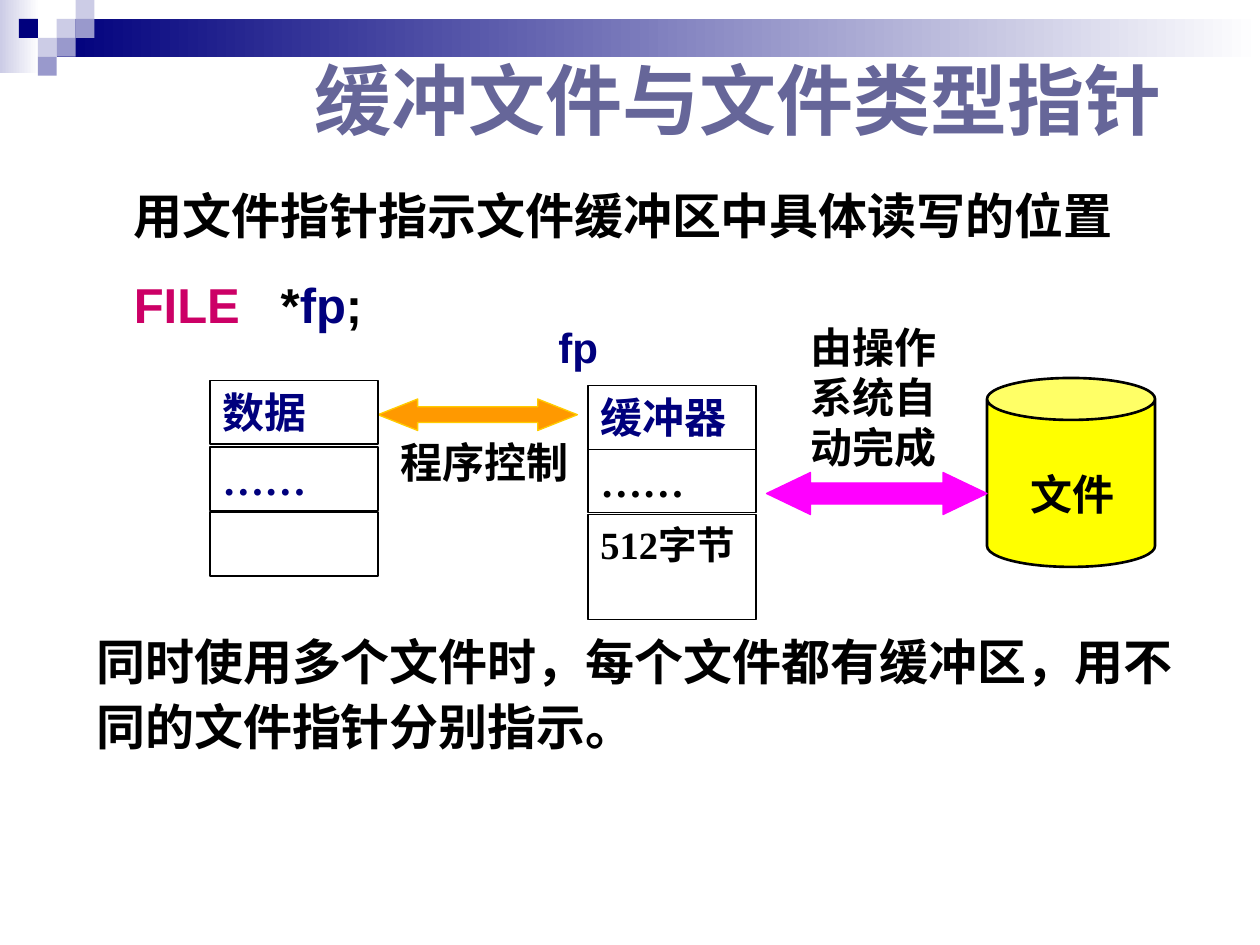
from lxml.etree import SubElement
from pptx import Presentation
from pptx.dml.color import RGBColor
from pptx.enum.shapes import MSO_SHAPE
from pptx.enum.text import MSO_ANCHOR
from pptx.oxml.ns import qn
from pptx.util import Pt

COLORS = {
    "white": "FFFFFF", "black": "000000", "navy": "00007D",
    "lavender": "CCCCE6", "periwinkle": "9999CC", "slate": "666699",
    "crimson": "CC0066", "yellow": "FFFF00", "magenta": "FF00FF",
    "orange": "FF9900", "gold": "FFCC00",
}
CJK, SANS, SERIF = "Noto Sans CJK SC", "Arial", "Times New Roman"

GRADIENT_BANDS = [
    ((0, 0, 22.5, 42), "lavender", "white"),
    ((32.4, 10.8, 687.6, 21.6), "navy", "white"),
]
TILE = 10.8
TILES = [
    (3, 1, "lavender"), (4, 0, "lavender"), (4, 1, "periwinkle"),
    (2, 2, "lavender"), (1, 1, "navy"), (3, 2, "periwinkle"),
    (2, 3, "periwinkle"),
]

TITLE = [("缓冲文件与文件类型指针", "slate")]
POINTER_USE = [("用文件指针指示文件缓冲区中具体读写的位置", "black")]
DECLARATION = [("FILE", "crimson"), (" ", "black"), ("*", "black"),
               ("fp", "navy"), (";", "black")]
DECLARATION_GAP = 15.6
SUMMARY = [("同时使用多个文件时，每个文件都有缓冲区，用不同的文件指针分别指示。", "black")]

CELL_WIDTH = 96
STACKS = [
    (120, [("数据", 24, "navy", 217.4, 36.3), ("……", 24, "navy", 255.4, 36.3),
           ("", 24, "black", 292.6, 36.6)]),
    (336, [("缓冲器", 24, "navy", 220.4, 36.3), ("……", 24, "black", 256.7, 36.3),
           ("512字节", 22, "black", 294, 60.1)]),
]
ARROWS = [
    ((438, 270, 126, 24), 1.045, "magenta", "magenta"),
    ((216, 228, 114, 18), 1.261, "orange", "gold"),
]
FILE_CAN = (564, 216, 96, 108)
LABELS = [
    ((582, 264, 66, 36), "文件", "black", SERIF),
    ((456, 180, 102, 93.6), "由操作系统自动完成", "black", SERIF),
    ((222, 246, 120, 36), "程序控制", "black", SERIF),
    ((312, 180, 42, 36), "fp", "navy", SANS),
]


def rgb(name):
    return RGBColor.from_string(COLORS[name])


def add_block(slide, kind, box, fill=None, line=None, width=0.75):
    block = slide.shapes.add_shape(kind, *map(Pt, box))
    block.shadow.inherit = False
    if fill:
        block.fill.solid()
        block.fill.fore_color.rgb = rgb(fill)
    else:
        block.fill.background()
    if line:
        block.line.color.rgb = rgb(line)
        block.line.width = Pt(width)
    else:
        block.line.fill.background()
    return block


def write(frame, paragraphs, size, font, spacing=None, before=0):
    frame.word_wrap = True
    for index, runs in enumerate(paragraphs):
        paragraph = frame.paragraphs[0] if index == 0 else frame.add_paragraph()
        paragraph.alignment = 1
        paragraph.space_before = Pt(before)
        if spacing:
            paragraph.line_spacing = spacing[index]
        for text, color in runs:
            run = paragraph.add_run()
            run.text = text
            run.font.size = Pt(size)
            run.font.bold = True
            run.font.name = font
            run.font.color.rgb = rgb(color)
            properties = run.font._element
            SubElement(properties, qn("a:ea")).set("typeface", CJK)
            if text == " ":
                properties.set("spc", str(round(DECLARATION_GAP * 100)))


def add_text(slide, box, paragraphs, size, font, **layout):
    frame = slide.shapes.add_textbox(*map(Pt, box)).text_frame
    write(frame, paragraphs, size, font, **layout)
    return frame


def add_decoration(slide):
    for box, start, end in GRADIENT_BANDS:
        band = add_block(slide, MSO_SHAPE.RECTANGLE, box)
        band.fill.gradient()
        band.fill.gradient_angle = 0
        for stop, color, position in zip(band.fill.gradient_stops, (start, end), (0, 1)):
            stop.color.rgb = rgb(color)
            stop.position = position
    for column, row, color in TILES:
        box = (column * TILE, row * TILE, TILE, TILE)
        add_block(slide, MSO_SHAPE.RECTANGLE, box, color)


def add_diagram(slide):
    can = add_block(slide, MSO_SHAPE.CAN, FILE_CAN, "yellow", "black", 1.5)
    can.adjustments[0] = 0.25
    for box, head, fill, line in ARROWS:
        arrow = add_block(slide, MSO_SHAPE.LEFT_RIGHT_ARROW, box, fill, line)
        arrow.adjustments[0] = 0.5
        arrow.adjustments[1] = head
    for left, cells in STACKS:
        for text, size, color, top, height in cells:
            cell = add_block(slide, MSO_SHAPE.RECTANGLE,
                             (left, top, CELL_WIDTH, height), line="black")
            if text:
                cell.text_frame.vertical_anchor = MSO_ANCHOR.TOP
                write(cell.text_frame, [[(text, color)]], size, SERIF)
    for box, text, color, font in LABELS:
        add_text(slide, box, [[(text, color)]], 24, font)


def main():
    presentation = Presentation()
    presentation.slide_width, presentation.slide_height = Pt(720), Pt(540)
    slide = presentation.slides.add_slide(presentation.slide_layouts[6])
    add_decoration(slide)
    title = add_text(slide, (172.8, 24, 527, 64.8), [TITLE], 44, CJK)
    title.vertical_anchor = MSO_ANCHOR.MIDDLE
    body = add_text(slide, (48, 96, 636, 120), [POINTER_USE, DECLARATION], 28, SANS,
                    spacing=(1.2, 1.3), before=7)
    for paragraph in body.paragraphs:
        indents = paragraph._p.get_or_add_pPr()
        indents.set("marL", str(Pt(30)))
        indents.set("indent", str(Pt(-8.6)))
    add_diagram(slide)
    add_text(slide, (48, 354, 630, 81.4), [SUMMARY], 28, SANS, spacing=(1.1,), before=7)
    presentation.save("out.pptx")


if __name__ == "__main__":
    main()
